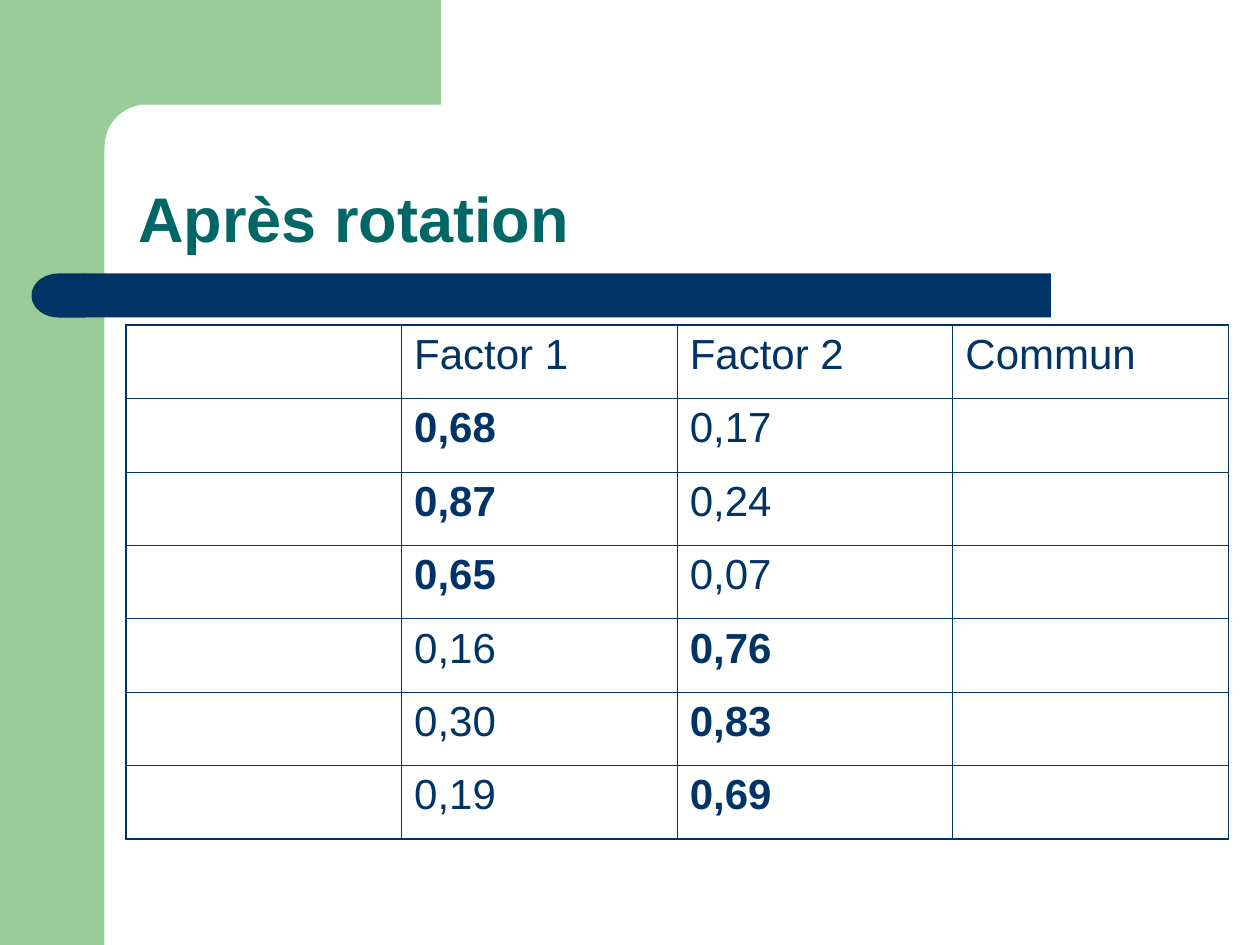
from lxml import etree
from pptx import Presentation
from pptx.dml.color import RGBColor
from pptx.enum import shapes, text
from pptx.oxml import ns
from pptx.util import Inches, Pt

GREEN = RGBColor(0x99, 0xCC, 0x99)
WHITE = RGBColor(0xFF, 0xFF, 0xFF)
NAVY = RGBColor(0x00, 0x33, 0x66)
TEAL = RGBColor(0x00, 0x66, 0x66)
FONT = "Arial"
OUTER_BORDER, INNER_BORDER = Pt(1.08), Pt(0.45)
KIND = shapes.MSO_SHAPE


def add_border(cell, side, width):
    """Draw one edge of a cell; side is L, R, T or B."""
    properties = cell._tc.get_or_add_tcPr()
    line = etree.SubElement(properties, ns.qn(f"a:ln{side}"), w=str(width))
    fill = etree.SubElement(line, ns.qn("a:solidFill"))
    etree.SubElement(fill, ns.qn("a:srgbClr"), val=str(NAVY))


presentation = Presentation()
presentation.slide_width = Inches(10)
presentation.slide_height = Inches(7.5)
slide = presentation.slides.add_slide(presentation.slide_layouts[6])

# Background decoration: kind, position, colour, corner radius, rotation
decorations = [
    (KIND.RECTANGLE, (0, 0, 0.83, 7.5), GREEN, None, 0),
    (KIND.RECTANGLE, (0.75, 0, 2.75, 1.17), GREEN, None, 0),
    (KIND.ROUNDED_RECTANGLE, (0.83, 0.83, 5.58, 0.67), WHITE, 0.5, 0),
    (KIND.RECTANGLE, (0.67, 2.17, 7.67, 0.35), NAVY, None, 0),
    (KIND.FLOWCHART_DELAY, (0.25, 2.17, 0.43, 0.35), NAVY, None, 180),
]
for kind, position, colour, radius, rotation in decorations:
    shape = slide.shapes.add_shape(kind, *map(Inches, position))
    shape.shadow.inherit = False
    shape.fill.solid()
    shape.fill.fore_color.rgb = colour
    shape.line.fill.background()
    shape.rotation = rotation
    if radius is not None:
        shape.adjustments[0] = radius

# Title
title = slide.shapes.add_textbox(Inches(1), Inches(0.83), Inches(8.75), Inches(1.25))
title.text_frame.word_wrap = True
title.text_frame.vertical_anchor = text.MSO_ANCHOR.BOTTOM
paragraph = title.text_frame.paragraphs[0]
paragraph.text = "Après rotation"
paragraph.line_spacing = 0.9
paragraph.font.name = FONT
paragraph.font.size = Pt(36)
paragraph.font.bold = True
paragraph.font.color.rgb = TEAL

# Factor loadings; the larger loading of each row is bold
rows = [
    ("", "Factor 1", "Factor 2", "Commun"),
    ("", "0,68", "0,17", ""),
    ("", "0,87", "0,24", ""),
    ("", "0,65", "0,07", ""),
    ("", "0,16", "0,76", ""),
    ("", "0,30", "0,83", ""),
    ("", "0,19", "0,69", ""),
]
last_row, last_column = len(rows) - 1, len(rows[0]) - 1
table = slide.shapes.add_table(
    len(rows), len(rows[0]), Inches(1), Inches(2.58), Inches(8.75), Inches(4.08)
).table
table.first_row = False
table.horz_banding = False

for row_index, values in enumerate(rows):
    for column_index, value in enumerate(values):
        cell = table.cell(row_index, column_index)
        edges = {
            "L": column_index == 0,
            "R": column_index == last_column,
            "T": row_index == 0,
            "B": row_index == last_row,
        }
        for side, is_outer in edges.items():
            add_border(cell, side, OUTER_BORDER if is_outer else INNER_BORDER)
        cell.fill.background()
        if not value:
            continue
        paragraph = cell.text_frame.paragraphs[0]
        paragraph.text = value
        paragraph.font.name = FONT
        paragraph.font.size = Pt(24)
        paragraph.font.bold = row_index > 0 and value == max(values)
        paragraph.font.color.rgb = NAVY

presentation.save("out.pptx")
